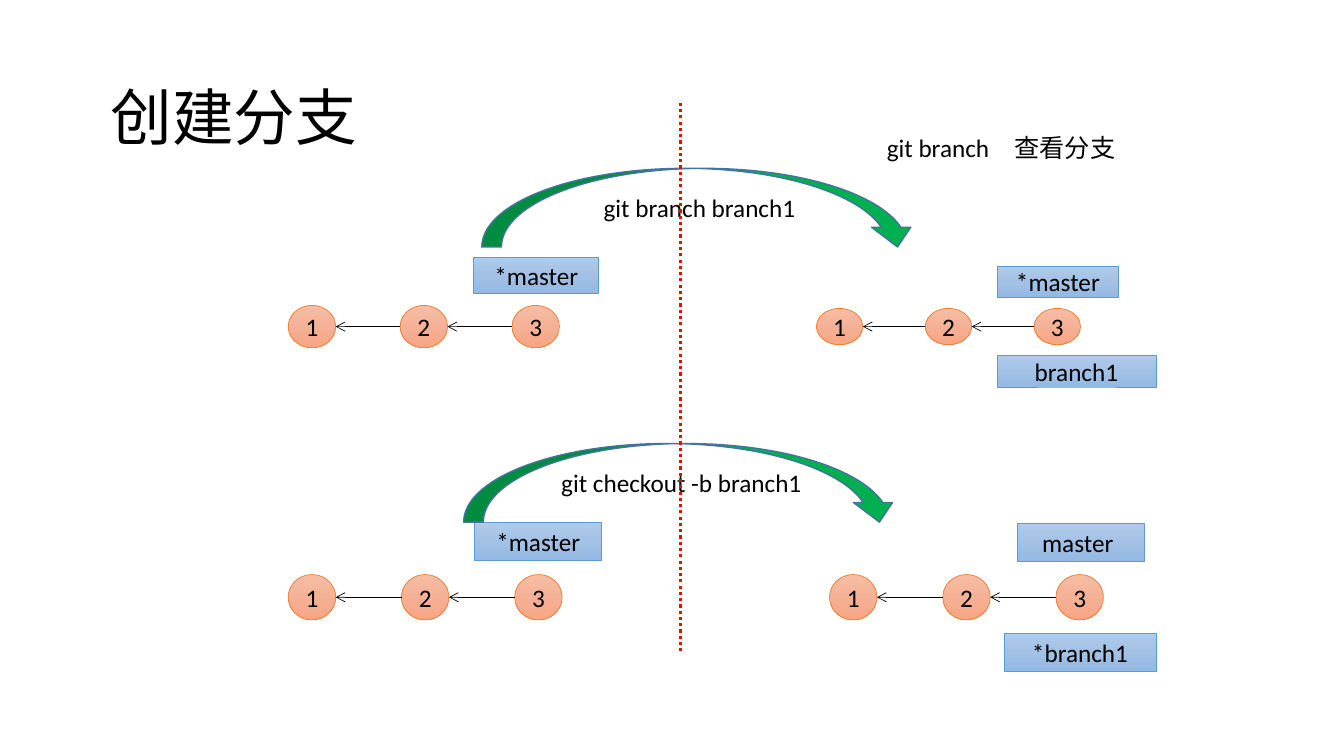
"""Builds a slide that compares two ways of creating a git branch."""
import copy

import pptx
import pptx.dml.color
import pptx.enum.dml
import pptx.enum.shapes
import pptx.enum.text
import pptx.oxml
import pptx.oxml.ns
import pptx.util

SHAPE = pptx.enum.shapes.MSO_SHAPE
STRAIGHT = pptx.enum.shapes.MSO_CONNECTOR.STRAIGHT
ALIGN = pptx.enum.text.PP_ALIGN
ANCHOR = pptx.enum.text.MSO_ANCHOR
qn = pptx.oxml.ns.qn
Pt = pptx.util.Pt

COMMIT = (["F7BDA5", "F5B196", "F8A582"], "ED7D31")
BRANCH = (["B1CBE9", "A3C1E5", "93B9E4"], "5B9BD5")


def rgb(code):
    return pptx.dml.color.RGBColor.from_string(code)


def write(sp, text, size=18, align=ALIGN.CENTER, anchor=ANCHOR.MIDDLE, spacing=None):
    tf = sp.text_frame
    tf.word_wrap = True
    tf.vertical_anchor = anchor
    p = tf.paragraphs[0]
    p.alignment = align
    p.line_spacing = spacing
    r = p.add_run()
    r.text = text
    r.font.size = Pt(size)
    r.font.name = "Calibri"
    r.font.color.rgb = rgb("000000")


prs = pptx.Presentation()
prs.slide_width = pptx.util.Inches(13.33)
prs.slide_height = pptx.util.Inches(7.5)
col = prs.slide_width / 40
row = prs.slide_height / 30
s = prs.slides.add_slide(prs.slide_layouts[6])

title = s.shapes.add_textbox(int(3 * col), int(1.88 * row), int(34.5 * col), int(5.8 * row))
write(title, "创建分支", size=44, align=ALIGN.LEFT, spacing=0.9)

# left, top, step, width, height, branch labels
graphs = [
    (8.58, 12.12, 3.33, 1.41, 1.68, [("*master", 14.1, 10.2, 3.72, 1.44)]),
    (24.3, 12.24, 3.24, 1.38, 1.44, [("*master", 29.67, 10.56, 3.63, 1.24),
                                     ("branch1", 29.67, 14.12, 4.74, 1.24)]),
    (8.58, 22.8, 3.37, 1.41, 1.8, [("*master", 14.13, 20.72, 3.78, 1.52)]),
    (24.69, 22.8, 3.37, 1.41, 1.8, [("master ", 30.27, 20.76, 3.78, 1.52),
                                    ("*branch1", 29.88, 25.12, 4.53, 1.52)]),
]
lines = []
for left, top, step, width, height, labels in graphs:
    group = s.shapes.add_group_shape().shapes
    boxes = [(SHAPE.OVAL, COMMIT, str(i + 1), left + i * step, top, width, height)
             for i in range(3)]
    boxes += [(SHAPE.RECTANGLE, BRANCH, *label) for label in labels]
    for kind, (shades, edge), text, x, y, w, h in boxes:
        sp = group.add_shape(kind, int(x * col), int(y * row), int(w * col), int(h * row))
        sp.shadow.inherit = False
        sp.fill.gradient()
        sp.fill.gradient_angle = 270
        stops = sp._element.spPr.find(".//" + qn("a:gsLst"))
        stops.append(copy.deepcopy(stops[-1]))
        for i, (stop, shade) in enumerate(zip(sp.fill.gradient_stops, shades)):
            stop.position = i / 2
            stop.color.rgb = rgb(shade)
        sp.line.color.rgb = rgb(edge)
        sp.line.width = Pt(0.5)
        write(sp, text)
    middle = int((top + height / 2) * row)
    for i in range(2):
        x = left + i * step
        parent = group.add_connector(STRAIGHT, int((x + step) * col), middle,
                                     int((x + width) * col), middle)
        parent.line.color.rgb = rgb("000000")
        parent.line.width = Pt(0.5)
        tail = pptx.oxml.parse_xml(f'<a:tailEnd {pptx.oxml.ns.nsdecls("a")} type="arrow"/>')
        parent._element.spPr.find(qn("a:ln")).append(tail)
        lines.append(parent)

for command, x, y in [("git branch branch1", 14.34, 6.68),
                      ("git checkout -b branch1", 13.8, 17.6)]:
    sp = s.shapes.add_shape(SHAPE.CURVED_DOWN_ARROW, int(x * col), int(y * row),
                            int(12.96 * col), int(3.12 * row))
    sp.shadow.inherit = False
    sp.fill.solid()
    sp.fill.fore_color.rgb = rgb("00B050")
    sp.line.color.rgb = rgb("43739E")
    sp.line.width = Pt(1)
    write(sp, command)

divider = s.shapes.add_connector(STRAIGHT, int(20.25 * col), int(4.08 * row),
                                 int(20.25 * col), int(25.92 * row))
divider.line.color.rgb = rgb("FF0000")
divider.line.width = Pt(2.25)
divider.line.dash_style = pptx.enum.dml.MSO_LINE.ROUND_DOT
lines.append(divider)
for line in lines:
    line._element.spPr.append(
        pptx.oxml.parse_xml(f'<a:effectLst {pptx.oxml.ns.nsdecls("a")}/>'))

note = s.shapes.add_textbox(int(26.1 * col), int(5.04 * row), int(12.36 * col), int(1.6 * row))
write(note, "git branch　查看分支", align=ALIGN.LEFT, anchor=ANCHOR.TOP)
note.text_frame.auto_size = pptx.enum.text.MSO_AUTO_SIZE.SHAPE_TO_FIT_TEXT

prs.save("out.pptx")
